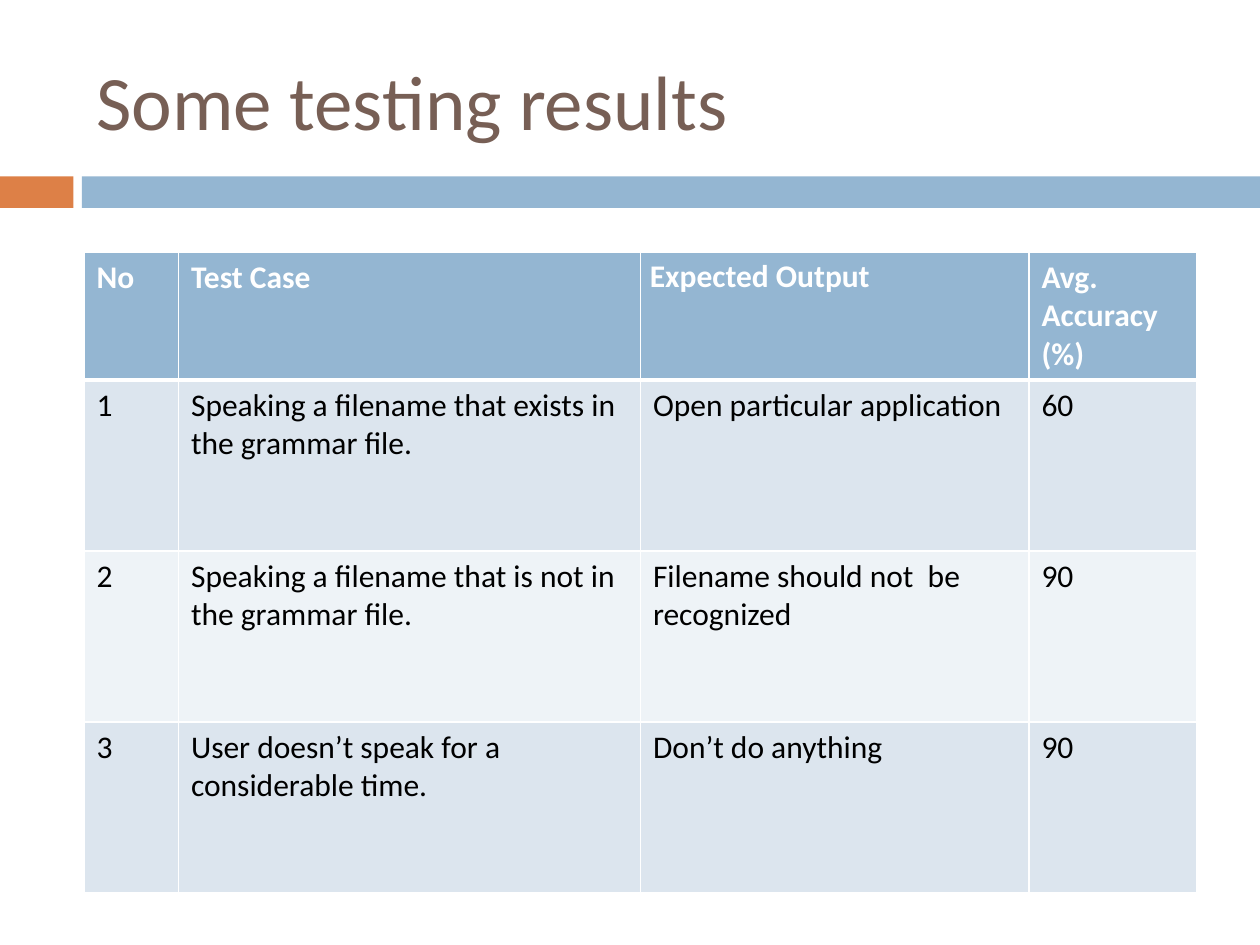
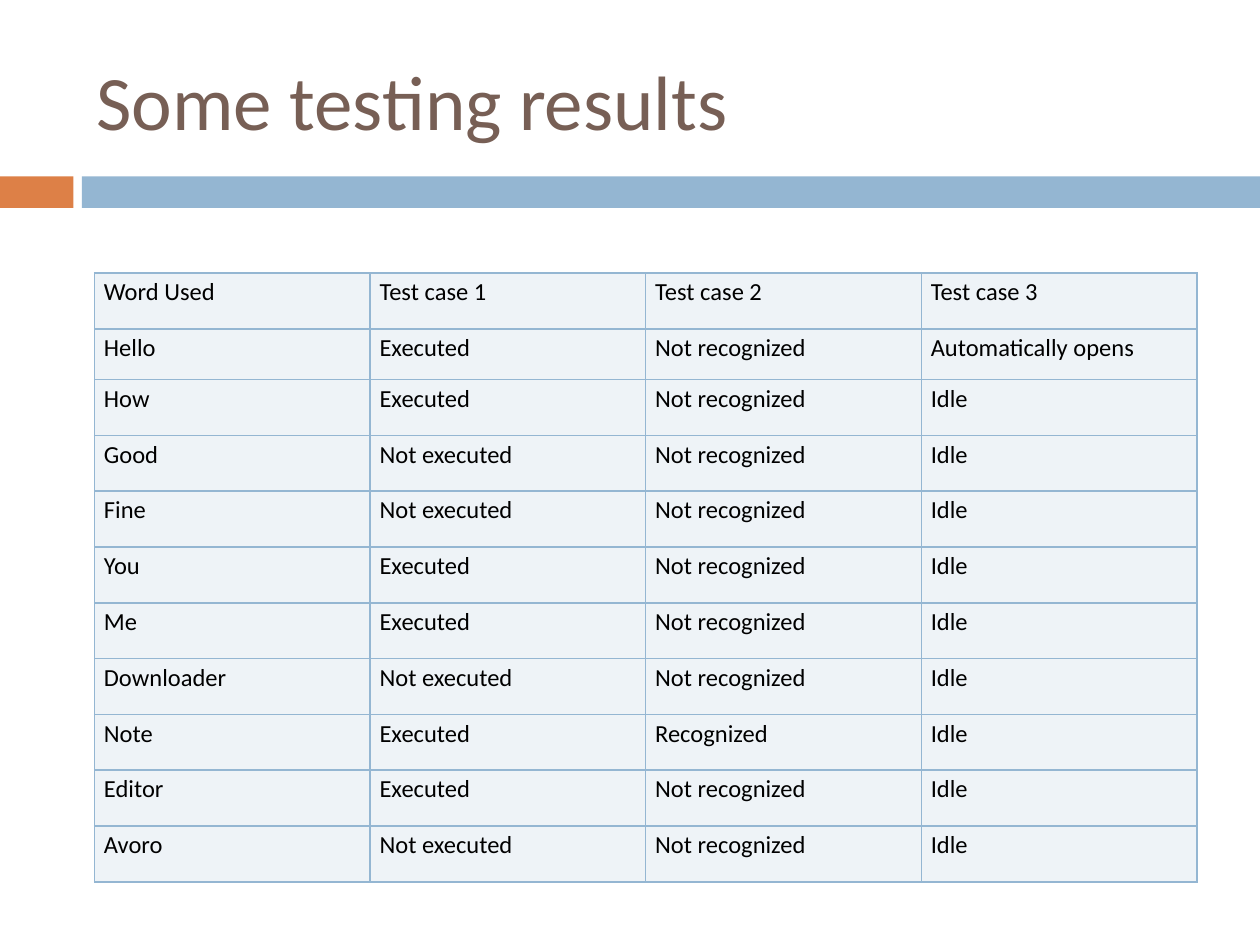
from dataclasses import dataclass
from typing import Optional

from lxml.etree import SubElement
from pptx import Presentation
from pptx.dml.color import RGBColor
from pptx.enum.shapes import MSO_SHAPE
from pptx.enum.text import MSO_ANCHOR, PP_ALIGN
from pptx.oxml.ns import qn
from pptx.util import Pt

FONT = "Calibri"
BLUE, ORANGE, BROWN = "94B6D2", "DD8047", "775F55"
BAND_DARK, BAND_LIGHT = "DCE5EE", "EEF3F7"
WHITE, BLACK = "FFFFFF", "000000"


@dataclass
class Band:
    left: float
    width: float
    color: str


@dataclass
class CellStyle:
    fill: str
    size: float
    border: str
    color: str = BLACK
    bold: bool = False
    top: float = 1
    bottom: float = 1
    tight: bool = False  # narrow margins and 1.15 line spacing
    align: Optional[PP_ALIGN] = None
    space_after: Optional[float] = None


BANDS = [Band(0, 42, ORANGE), Band(46.8, 673.2, BLUE)]


def rgb(color: str) -> RGBColor:
    return RGBColor.from_string(color)


def set_font(p, size: float, color: str, bold: bool = False) -> None:
    p.font.name = FONT
    p.font.size = Pt(size)
    p.font.bold = bold
    p.font.color.rgb = rgb(color)


def add_titled_slide(prs, title: str):
    """Add a slide with the shared bands and title style."""
    s = prs.slides.add_slide(prs.slide_layouts[5])
    for band in BANDS:
        sp = s.shapes.add_shape(MSO_SHAPE.RECTANGLE, Pt(band.left), Pt(100.8),
                                Pt(band.width), Pt(18))
        sp.shadow.inherit = False
        sp.fill.solid()
        sp.fill.fore_color.rgb = rgb(band.color)
        sp.line.fill.background()
    sp = s.shapes.title
    sp.left, sp.top, sp.width, sp.height = Pt(48), Pt(18), Pt(642), Pt(78)
    tf = sp.text_frame
    tf.text = title
    tf.vertical_anchor = MSO_ANCHOR.MIDDLE
    p = tf.paragraphs[0]
    p.alignment = PP_ALIGN.LEFT
    set_font(p, 44, BROWN)
    return s


def set_borders(cell, style: CellStyle) -> None:
    tc_pr = cell._tc.get_or_add_tcPr()
    widths = {"lnL": 1, "lnR": 1, "lnT": style.top, "lnB": style.bottom}
    for side, width in widths.items():
        ln = SubElement(tc_pr, qn(f"a:{side}"), w=str(Pt(width)))
        fill = SubElement(ln, qn("a:solidFill"))
        SubElement(fill, qn("a:srgbClr"), val=style.border)


def write_cell(cell, text: str, style: CellStyle) -> None:
    set_borders(cell, style)  # borders come before the fill in the XML
    cell.fill.solid()
    cell.fill.fore_color.rgb = rgb(style.fill)
    cell.text = text
    p = cell.text_frame.paragraphs[0]
    set_font(p, style.size, style.color, style.bold)
    if style.tight:
        cell.margin_left = cell.margin_right = Pt(5.4)
        cell.margin_top = cell.margin_bottom = Pt(0)
        p.line_spacing = 1.15
    if style.align is not None:
        p.alignment = style.align
    if style.space_after is not None:
        p.space_after = Pt(style.space_after)


def add_grid(s, left: float, top: float, widths: list[float],
             heights: list[float], rows: list, style_for):
    """Add a table; style_for(row, column) gives the style of each cell."""
    table = s.shapes.add_table(len(rows), len(widths), Pt(left), Pt(top),
                               Pt(sum(widths)), Pt(sum(heights))).table
    table.first_row = table.horz_banding = False
    for column, width in zip(table.columns, widths):
        column.width = Pt(width)
    for row, height in zip(table.rows, heights):
        row.height = Pt(height)
    for i, row in enumerate(rows):
        for j, text in enumerate(row):
            write_cell(table.cell(i, j), text, style_for(i, j))


def summary_style(i: int, j: int) -> CellStyle:
    if i == 0:
        style = CellStyle(BLUE, 18, WHITE, WHITE, bold=True, bottom=3)
        if j == 2:
            style.tight, style.space_after = True, 10
        return style
    fill = BAND_DARK if i % 2 else BAND_LIGHT
    return CellStyle(fill, 18, WHITE, top=3 if i == 1 else 1)


def word_style(i: int, j: int) -> CellStyle:
    return CellStyle(BAND_LIGHT, 14, BLUE, tight=True, align=PP_ALIGN.JUSTIFY,
                     space_after=10 if j == 3 else None)


SUMMARY = [
    ("No", "Test Case", "Expected Output", "Avg. Accuracy (%)"),
    ("1", "Speaking a filename that exists in the grammar file.",
     "Open particular application", "60"),
    ("2", "Speaking a filename that is not in the grammar file.",
     "Filename should not  be recognized", "90"),
    ("3", "User doesn’t speak for a considerable time.",
     "Don’t do anything", "90"),
]

YES, NO = "Executed", "Not executed"
UNKNOWN, IDLE = "Not recognized", "Idle"
WORDS = [
    ("Word Used", "Test case 1", "Test case 2", "Test case 3"),
    ("Hello", YES, UNKNOWN, "Automatically opens"),
    ("How", YES, UNKNOWN, IDLE),
    ("Good", NO, UNKNOWN, IDLE),
    ("Fine", NO, UNKNOWN, IDLE),
    ("You", YES, UNKNOWN, IDLE),
    ("Me", YES, UNKNOWN, IDLE),
    ("Downloader", NO, UNKNOWN, IDLE),
    ("Note", YES, "Recognized", IDLE),
    ("Editor", YES, UNKNOWN, IDLE),
    ("Avoro", NO, UNKNOWN, IDLE),
]

prs = Presentation()
prs.slide_width, prs.slide_height = Pt(720), Pt(540)

# Slide 1: accuracy per test case
s = add_titled_slide(prs, "Some testing results")
add_grid(s, 48, 144, [54, 264, 222, 96], [73] + [97.7] * 3,
         SUMMARY, summary_style)

# Slide 2: outcome per spoken word
s = add_titled_slide(prs, "Some testing results")
add_grid(s, 54, 156, [157.5] * 4, [31.9, 29] + [31.9] * 9, WORDS, word_style)

prs.save("out.pptx")
